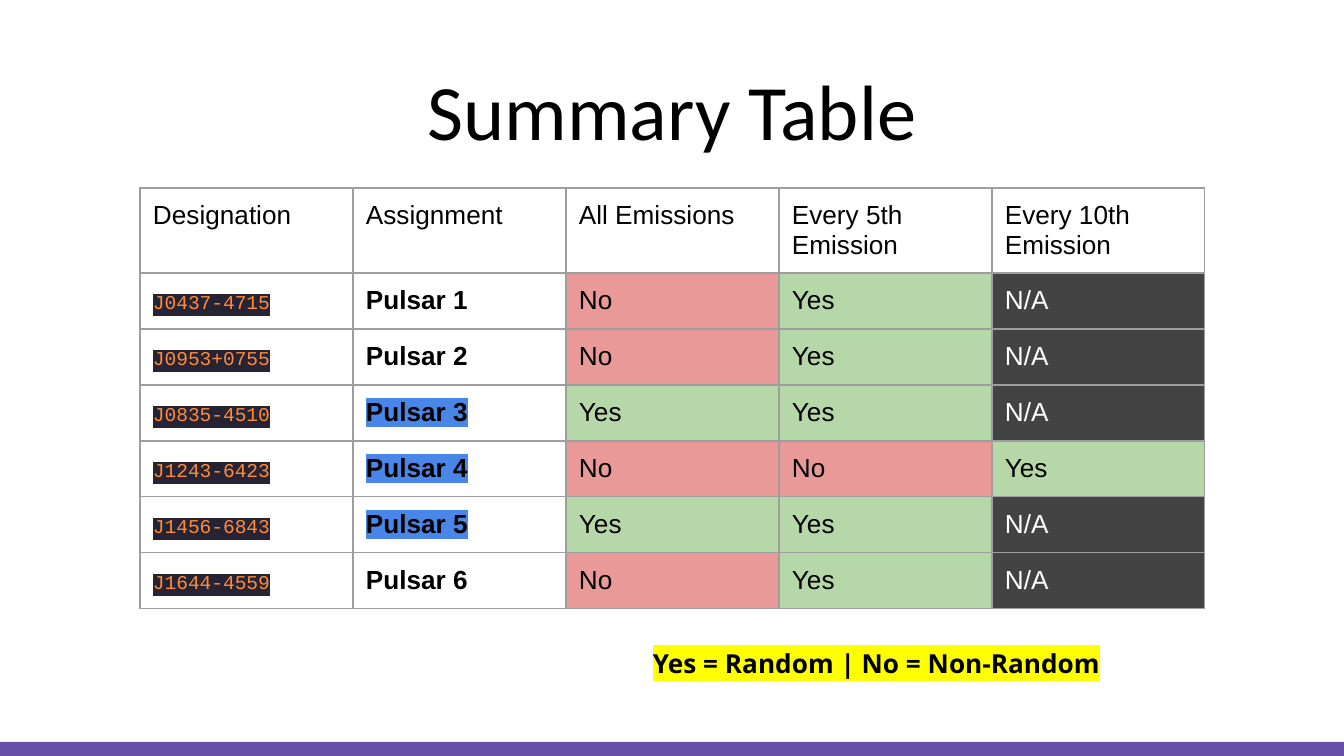
from dataclasses import dataclass

from lxml import etree
from pptx import Presentation
from pptx.dml.color import RGBColor
from pptx.enum.shapes import MSO_SHAPE
from pptx.enum.text import MSO_ANCHOR, PP_ALIGN
from pptx.oxml.ns import qn
from pptx.util import Pt

RECTANGLE = MSO_SHAPE.RECTANGLE
BOTTOM, TOP = MSO_ANCHOR.BOTTOM, MSO_ANCHOR.TOP
CENTER, LEFT = PP_ALIGN.CENTER, PP_ALIGN.LEFT
EMU_PER_PX = 914400 / 134.4
INSET = 13
BORDER_SIDES = ("a:lnL", "a:lnR", "a:lnT", "a:lnB")


@dataclass(frozen=True)
class TextStyle:
    font: str
    size: float
    color: str = "000000"
    bold: bool = False
    highlight: str = ""
    spacing: float = 1.0


@dataclass(frozen=True)
class Theme:
    accent: str = "674EA7"
    border: str = "9E9E9E"
    border_width: float = 0.75
    yes: str = "B6D7A8"
    no: str = "EA9999"
    not_applicable: str = "434343"
    title: TextStyle = TextStyle("Calibri", 42)
    body: TextStyle = TextStyle("Arial", 14)
    inverse: TextStyle = TextStyle("Arial", 14, "FFFFFF")
    pulsar: TextStyle = TextStyle("Arial", 14, bold=True)
    marked_pulsar: TextStyle = TextStyle("Arial", 14, bold=True, highlight="4A86E8")
    code: TextStyle = TextStyle("Courier New", 10.5, "FF8B39", highlight="262335", spacing=1.36)
    legend: TextStyle = TextStyle("Open Sans", 14, bold=True, highlight="FFFF00")


THEME = Theme()
HEADINGS = ["Designation", "Assignment", "All Emissions", "Every 5th Emission", "Every 10th Emission"]
PULSARS = [
    ("J0437-4715", "Pulsar 1", "No", "Yes", "N/A"),
    ("J0953+0755", "Pulsar 2", "No", "Yes", "N/A"),
    ("J0835-4510", "Pulsar 3", "Yes", "Yes", "N/A"),
    ("J1243-6423", "Pulsar 4", "No", "No", "Yes"),
    ("J1456-6843", "Pulsar 5", "Yes", "Yes", "N/A"),
    ("J1644-4559", "Pulsar 6", "No", "Yes", "N/A"),
]
MARKED_PULSARS = {"Pulsar 3", "Pulsar 4", "Pulsar 5"}


def px(length):
    return round(length * EMU_PER_PX)


class SlideBuilder:
    def __init__(self, slide, theme):
        self.slide = slide
        self.theme = theme

    def fill_text(self, frame, text, style, align=LEFT):
        paragraph = frame.paragraphs[0]
        paragraph.alignment = align
        paragraph.line_spacing = style.spacing
        font = paragraph.font
        font.name, font.size, font.bold = style.font, Pt(style.size), style.bold
        font.color.rgb = RGBColor.from_string(style.color)
        run = paragraph.add_run()
        run.text = text
        if style.highlight:
            highlight = etree.SubElement(run.font._element, qn("a:highlight"))
            etree.SubElement(highlight, qn("a:srgbClr"), val=style.highlight)

    def inset(self, holder):
        holder.margin_left = holder.margin_right = px(INSET)
        holder.margin_top = holder.margin_bottom = px(INSET)

    def bar(self, left, top, width, height):
        bar = self.slide.shapes.add_shape(RECTANGLE, px(left), px(top), px(width), px(height))
        bar.shadow.inherit = False
        bar.fill.solid()
        bar.fill.fore_color.rgb = RGBColor.from_string(self.theme.accent)
        bar.line.fill.background()

    def title(self, text, left, top, width, height):
        title = self.slide.shapes.title
        title.left, title.top, title.width, title.height = map(px, (left, top, width, height))
        frame = title.text_frame
        self.inset(frame)
        frame.vertical_anchor = BOTTOM
        self.fill_text(frame, text, self.theme.title, CENTER)

    def text(self, text, style, left, top, width, height):
        box = self.slide.shapes.add_textbox(px(left), px(top), px(width), px(height))
        frame = box.text_frame
        frame.word_wrap = True
        self.inset(frame)
        self.fill_text(frame, text, style)

    def cell(self, cell, text, style, fill):
        self.inset(cell)
        cell.vertical_anchor = TOP
        self.fill_text(cell.text_frame, text, style)
        properties = cell._tc.get_or_add_tcPr()
        for side in BORDER_SIDES:
            line = etree.SubElement(properties, qn(side), w=str(Pt(self.theme.border_width)))
            solid = etree.SubElement(line, qn("a:solidFill"))
            etree.SubElement(solid, qn("a:srgbClr"), val=self.theme.border)
        if fill:
            cell.fill.solid()
            cell.fill.fore_color.rgb = RGBColor.from_string(fill)
        else:
            cell.fill.background()

    def table(self, rows, left, top, column_width, header_height, row_height):
        column_count = len(rows[0])
        height = header_height + row_height * (len(rows) - 1)
        table = self.slide.shapes.add_table(
            len(rows), column_count, px(left), px(top), px(column_width * column_count), px(height)
        ).table
        table.first_row = table.horz_banding = False
        for column in table.columns:
            column.width = px(column_width)
        for row_index, row in enumerate(rows):
            table.rows[row_index].height = px(row_height if row_index else header_height)
            for column_index, (text, style, fill) in enumerate(row):
                self.cell(table.cell(row_index, column_index), text, style, fill)


def summary_rows(theme):
    fills = {"Yes": theme.yes, "No": theme.no, "N/A": theme.not_applicable}
    rows = [[(heading, theme.body, None) for heading in HEADINGS]]
    for designation, assignment, *results in PULSARS:
        name_style = theme.marked_pulsar if assignment in MARKED_PULSARS else theme.pulsar
        row = [(designation, theme.code, None), (assignment, name_style, None)]
        for result in results:
            style = theme.inverse if result == "N/A" else theme.body
            row.append((result, style, fills[result]))
        rows.append(row)
    return rows


def main():
    presentation = Presentation()
    presentation.slide_width, presentation.slide_height = px(1344), px(756)
    title_only = presentation.slide_layouts[5]
    builder = SlideBuilder(presentation.slides.add_slide(title_only), THEME)
    builder.bar(0, 742, 1344, 14)
    builder.title("Summary Table", 46, 47, 1252, 122)
    builder.table(summary_rows(THEME), 140, 188, 213, 85, 56)
    builder.text("Yes = Random | No = Non-Random", THEME.legend, 640, 634, 476, 59)
    presentation.save("out.pptx")


if __name__ == "__main__":
    main()
